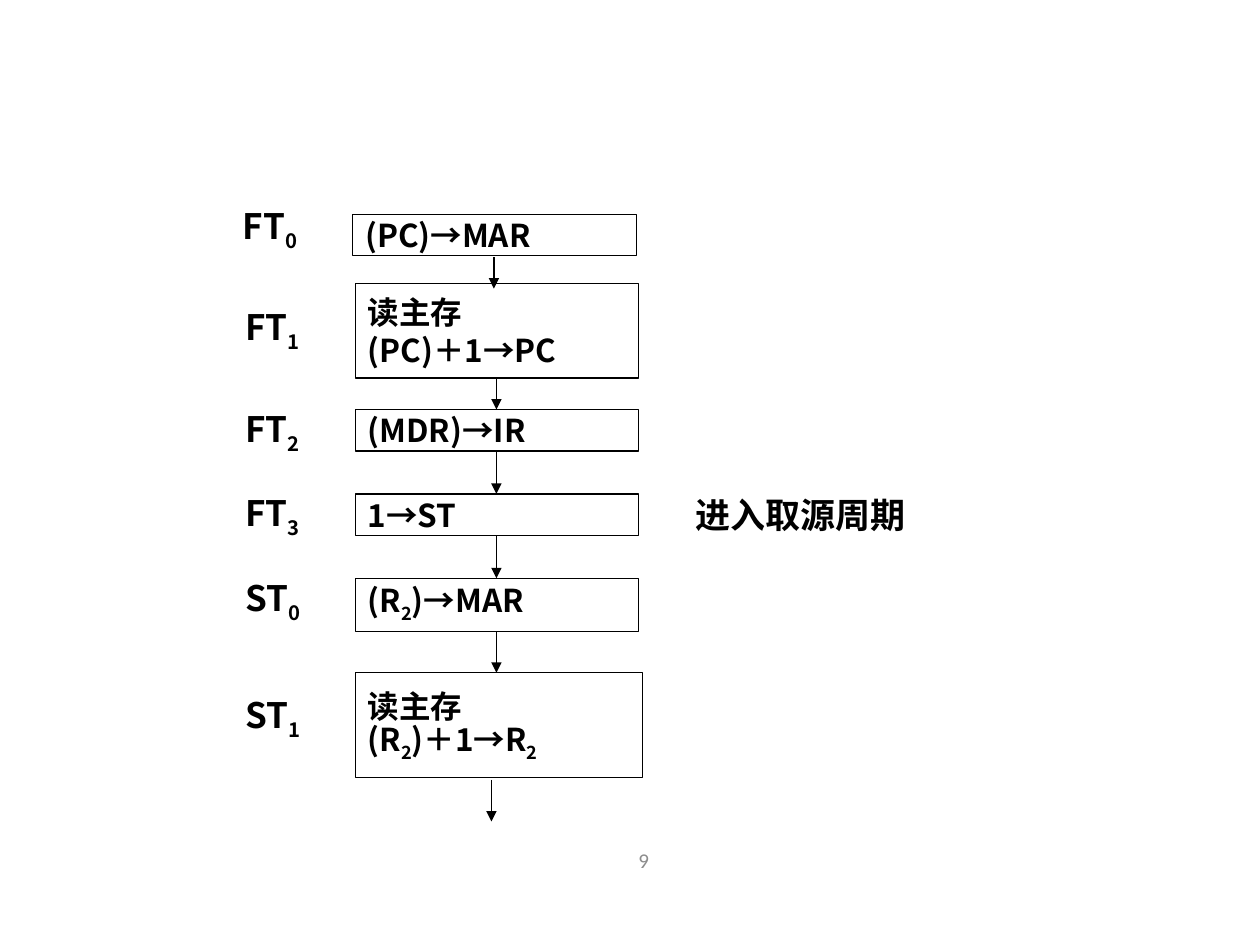
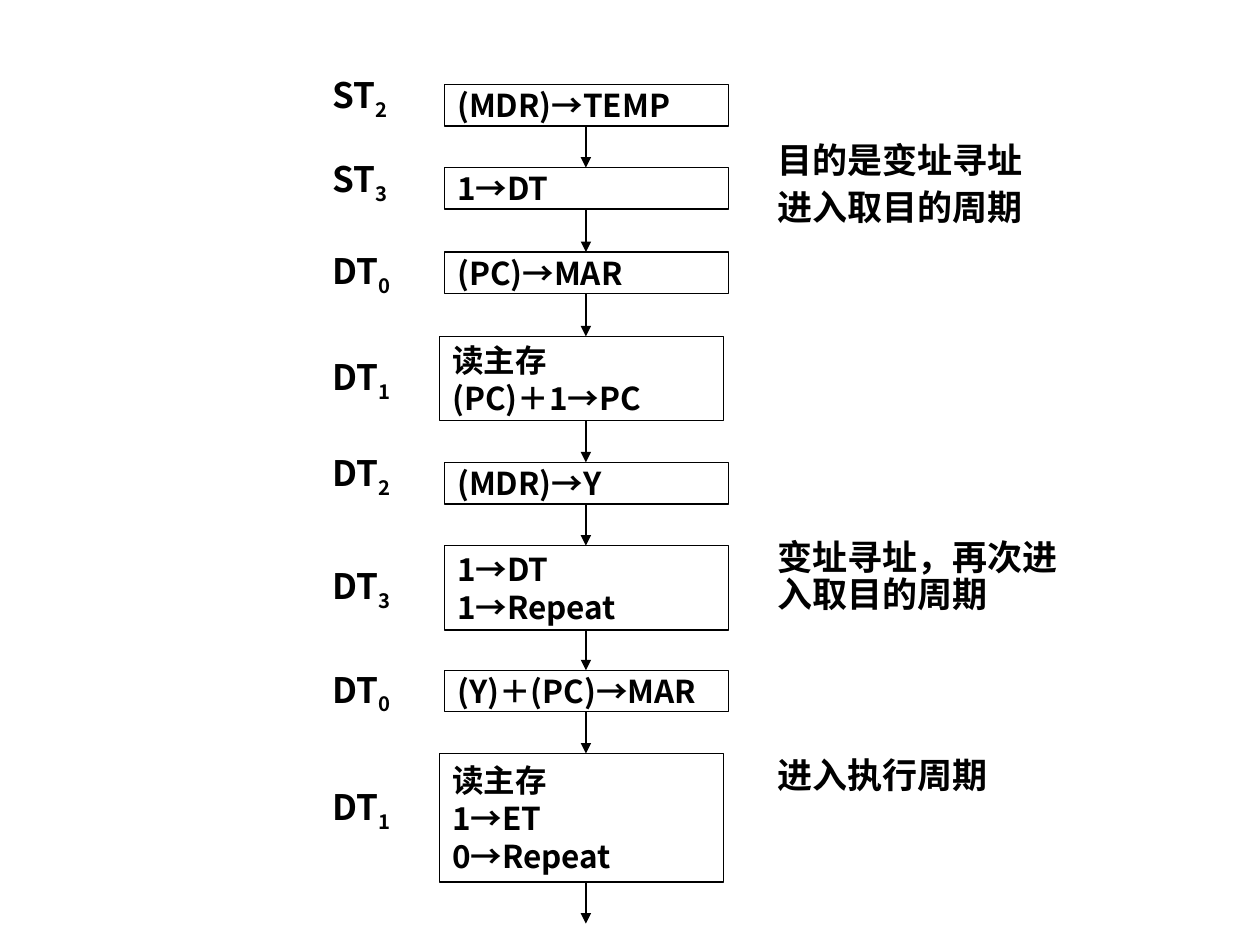
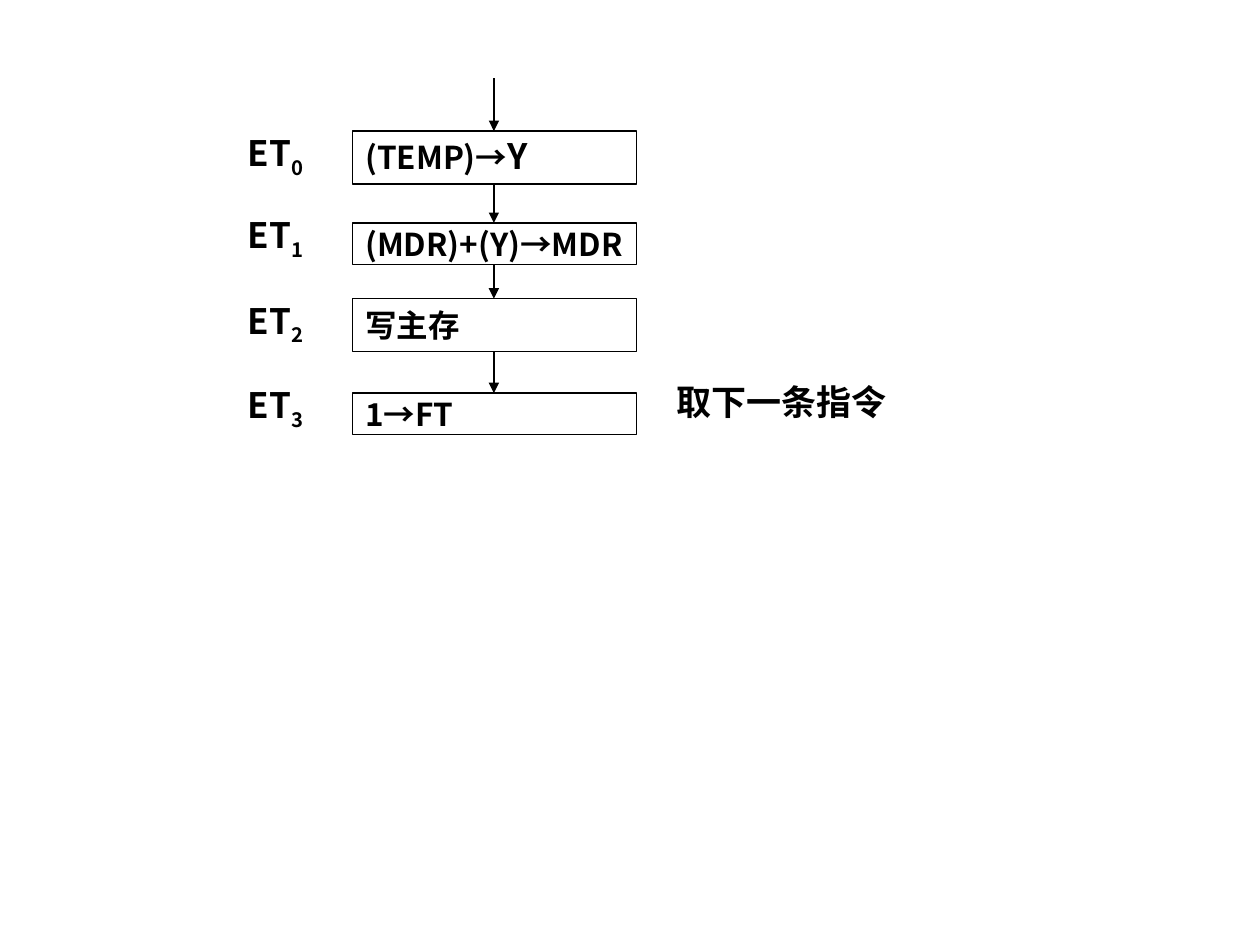
"""Builds three slides of instruction-cycle flowcharts."""
import dataclasses
import itertools

import pptx
import pptx.dml.color
import pptx.enum.shapes
import pptx.enum.text
import pptx.oxml
import pptx.oxml.ns
import pptx.util

Inches, Pt = pptx.util.Inches, pptx.util.Pt
qn = pptx.oxml.ns.qn
ANCHOR = pptx.enum.text.MSO_ANCHOR

FONT = "Noto Sans CJK SC"
BLACK, GREY = "000000", "8C8C8C"
BOX_SIZE, LABEL_SIZE = 18, 20
LINE_HEIGHT = 1.2
LABEL_W, LABEL_H = 0.67, 0.43


@dataclasses.dataclass
class Step:
    """A labelled box; _ marks a subscript and ^ a larger character."""
    label: str
    label_y: float
    y: float
    h: float
    lines: list
    shift: float = 0
    w: float = 2.25


@dataclasses.dataclass
class Flow:
    """A column of steps around a vertical axis, with loose arrows."""
    label_x: float
    axis: float
    steps: list
    arrows: list


@dataclasses.dataclass
class Note:
    """A remark beside a flow."""
    at: tuple
    lines: list
    spacing: float = 1


SLIDES = [
    {
        "flows": [
            Flow(1.83, 3.92, [Step("FT_0", 1.62, 1.7, 0.33, ["(PC)→MAR"])],
                 [(3.92, 2.04, 2.29)]),
            Flow(1.85, 3.94, [
                Step("FT_1", 2.42, 2.25, 0.75, ["读主存", "(PC)＋1→PC"]),
                Step("FT_2", 3.23, 3.25, 0.33, ["(MDR)→IR"]),
                Step("FT_3", 3.9, 3.92, 0.33, ["1→ST"]),
                Step("ST_0", 4.57, 4.59, 0.42, ["(R_2)→MAR"]),
                Step("ST_1", 5.5, 5.34, 0.83, ["读主存", "(R_2)＋1→R_2"], w=2.28),
            ], [(3.9, 6.19, 6.52)]),
        ],
        "notes": [Note((5.52, 3.92, 1.75, 0.38), ["进入取源周期"])],
        "number": "9",
    },
    {
        "flows": [
            Flow(2.54, 4.65, [
                Step("ST_2", 0.58, 0.67, 0.33, ["(MDR)→TEMP"]),
                Step("ST_3", 1.25, 1.33, 0.33, ["1→DT"]),
                Step("DT_0", 1.98, 2, 0.33, ["(PC)→MAR"]),
                Step("DT_1", 2.82, 2.67, 0.67, ["读主存", "(PC)＋1→PC"], -0.04),
                Step("DT_2", 3.58, 3.67, 0.33, ["(MDR)→Y"]),
                Step("DT_3", 4.48, 4.33, 0.67, ["1→DT", "1→Repeat"]),
                Step("DT_0", 5.3, 5.32, 0.33, ["(Y)＋(PC)→MAR"]),
                Step("DT_1", 6.23, 5.98, 1.02, ["读主存", "1→ET", "0→Repeat"], -0.04),
            ], [(4.65, 7, 7.33)]),
        ],
        "notes": [
            Note((6.17, 1.2, 2.12, 0.63), ["目的是变址寻址", "进入取目的周期"], 0.7),
            Note((6.17, 4.28, 2.25, 0.6), ["变址寻址，再次进入取目的周期"], 0.9),
            Note((6.17, 6.08, 1.79, 0.29), ["进入执行周期"], 0.7),
        ],
    },
    {
        "flows": [
            Flow(1.87, 3.92, [
                Step("ET_0", 1.04, 1.04, 0.42, ["(TEMP)→^Y"]),
                Step("ET_1", 1.69, 1.77, 0.33, ["(MDR)+(Y)→MDR"]),
                Step("ET_2", 2.37, 2.37, 0.42, ["写主存"]),
                Step("ET_3", 3.04, 3.12, 0.33, ["1→FT"]),
            ], [(3.92, 0.62, 1.04)]),
        ],
        "notes": [Note((5.37, 3.12, 1.75, 0.28), ["取下一条指令"], 0.7)],
    },
]


def rgb(color):
    """Turn a hex string into a colour."""
    return pptx.dml.color.RGBColor.from_string(color)


def add_run(p, text, size, mark=""):
    """Add a bold run, lowered or enlarged according to its mark."""
    r = p.add_run()
    r.text = text
    r.font.name, r.font.bold = FONT, True
    r.font.size = Pt(LABEL_SIZE if mark == "^" else size)
    r.font.color.rgb = rgb(BLACK)
    props = r.font._element
    ea = pptx.oxml.parse_xml(f'<a:ea {pptx.oxml.ns.nsdecls("a")} typeface="{FONT}"/>')
    props.find(qn("a:latin")).addnext(ea)
    if mark == "_":
        props.set("baseline", "-25000")


def write(tf, lines, size, spacing=1, gap=0):
    """Write marked-up lines as left-aligned paragraphs."""
    for i, line in enumerate(lines):
        p = tf.paragraphs[0] if i == 0 else tf.add_paragraph()
        p.alignment = pptx.enum.text.PP_ALIGN.LEFT
        p.line_spacing = Pt(size * LINE_HEIGHT * spacing)
        p.space_before = Pt(gap if i else 0)
        for part in line.replace("_", "|_").replace("^", "|^").split("|"):
            if part[0] in "_^":
                add_run(p, part[1], size, part[0])
                part = part[2:]
            if part:
                add_run(p, part, size)


def add_text(s, at):
    """Add a wrapping text box and return its text frame."""
    tf = s.shapes.add_textbox(*map(Inches, at)).text_frame
    tf.word_wrap = True
    return tf


def add_box(s, x, step):
    """Add the outlined box of a step."""
    sp = s.shapes.add_shape(pptx.enum.shapes.MSO_SHAPE.RECTANGLE,
                            *map(Inches, (x, step.y, step.w, step.h)))
    sp.shadow.inherit = False
    sp.fill.background()
    sp.line.color.rgb = rgb(BLACK)
    sp.line.width = Pt(0.75)
    sp.text_frame.word_wrap = False
    sp.text_frame.vertical_anchor = ANCHOR.MIDDLE
    write(sp.text_frame, step.lines, BOX_SIZE)


def add_arrow(s, x, top, bottom):
    """Add a downward arrow."""
    line = s.shapes.add_connector(pptx.enum.shapes.MSO_CONNECTOR.STRAIGHT,
                                  *map(Inches, (x, top, x, bottom)))
    line.line.color.rgb = rgb(BLACK)
    line.line.width = Pt(0.75)
    ln = line.line._get_or_add_ln()
    ns = pptx.oxml.ns.nsdecls("a")
    ln.append(pptx.oxml.parse_xml(f'<a:tailEnd {ns} type="triangle"/>'))
    ln.addnext(pptx.oxml.parse_xml(f"<a:effectLst {ns}/>"))


def add_flow(s, flow):
    """Add the boxes, labels and arrows of a flow."""
    for step in flow.steps:
        add_box(s, flow.axis - 1.12 + step.shift, step)
        tf = add_text(s, (flow.label_x, step.label_y, LABEL_W, LABEL_H))
        write(tf, [step.label], LABEL_SIZE)
    links = [(flow.axis, a.y + a.h, b.y) for a, b in itertools.pairwise(flow.steps)]
    for arrow in links + flow.arrows:
        add_arrow(s, *arrow)


def add_note(s, note):
    """Add a remark without margins."""
    tf = add_text(s, note.at)
    tf.margin_left = tf.margin_right = tf.margin_top = tf.margin_bottom = 0
    write(tf, note.lines, LABEL_SIZE, note.spacing, LABEL_SIZE / 2)


def add_number(s, number):
    """Add the page number."""
    tf = add_text(s, (3.17, 6.58, 2.08, 0.5))
    tf.vertical_anchor = ANCHOR.MIDDLE
    p = tf.paragraphs[0]
    p.text = number
    p.alignment = pptx.enum.text.PP_ALIGN.RIGHT
    p.font.name, p.font.size = "Calibri", Pt(12)
    p.font.color.rgb = rgb(GREY)


def main():
    """Build and save the presentation."""
    prs = pptx.Presentation()
    prs.slide_width, prs.slide_height = Inches(10), Inches(7.5)
    for content in SLIDES:
        s = prs.slides.add_slide(prs.slide_layouts[6])
        for flow in content["flows"]:
            add_flow(s, flow)
        for note in content["notes"]:
            add_note(s, note)
        if "number" in content:
            add_number(s, content["number"])
    prs.save("out.pptx")


if __name__ == "__main__":
    main()
